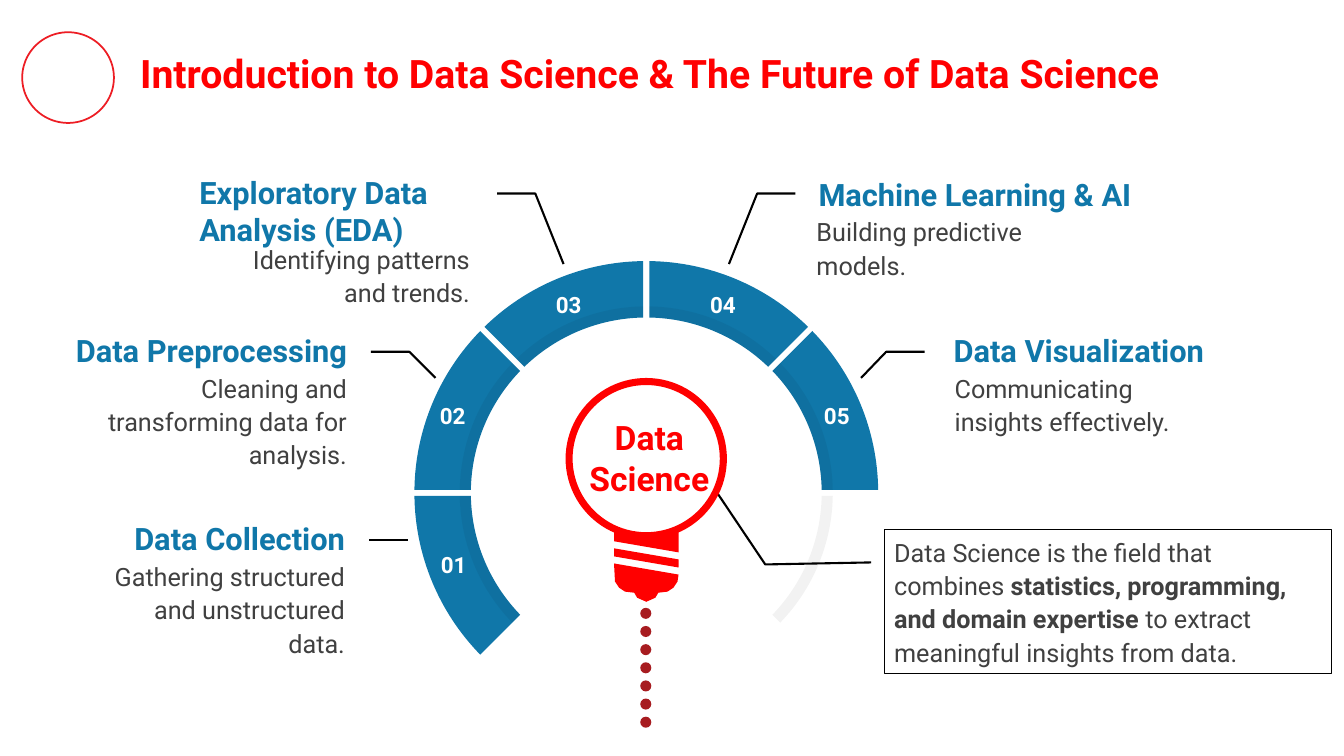
import math

from lxml import etree
from pptx import Presentation
from pptx.dml.color import RGBColor
from pptx.enum.shapes import MSO_CONNECTOR, MSO_SHAPE
from pptx.enum.text import MSO_ANCHOR, MSO_AUTO_SIZE, PP_ALIGN
from pptx.oxml.ns import qn
from pptx.util import Inches, Pt

LEFT, CENTER, RIGHT = PP_ALIGN.LEFT, PP_ALIGN.CENTER, PP_ALIGN.RIGHT
TOP = MSO_ANCHOR.TOP
NO_AUTOFIT = MSO_AUTO_SIZE.NONE
ELLIPSE, DONUT, RECTANGLE = MSO_SHAPE.OVAL, MSO_SHAPE.DONUT, MSO_SHAPE.RECTANGLE
STRAIGHT = MSO_CONNECTOR.STRAIGHT

FONT = "Roboto"
TITLE_RED = RGBColor(0xFF, 0x00, 0x01)
BULB_RED = RGBColor(0xFF, 0x00, 0x00)
RING_RED = RGBColor(0xED, 0x1D, 0x24)
DOT_RED = RGBColor(0xA7, 0x1C, 0x20)
BLUE = RGBColor(0x10, 0x77, 0xA9)
GRAY = RGBColor(0x40, 0x40, 0x40)
BLACK = RGBColor(0x00, 0x00, 0x00)
WHITE = RGBColor(0xFF, 0xFF, 0xFF)

ARC_CENTER = (6.41, 4.89)
OUTER_RADIUS, SHADE_RADIUS, INNER_RADIUS = 2.3, 1.85, 1.74
HALF_GAP = 0.03
SECTOR_DEGREES = 45
FIRST_ANGLE = 225
SECTOR_COUNT = 6

# number, number position, heading, heading box, heading alignment,
# description, description box, description alignment
STEPS = [
    ("01", (4.27, 5.42), "Data Collection", (0.57, 5.11, 2.95, 0.47), RIGHT,
     "Gathering structured and unstructured data.", (0.88, 5.49, 2.64, 1.1), RIGHT),
    ("02", (4.26, 3.94), "Data Preprocessing", (0.59, 3.24, 2.95, 0.47), RIGHT,
     "Cleaning and transforming data for analysis.", (0.9, 3.62, 2.64, 1.1), RIGHT),
    ("03", (5.41, 2.84), "Exploratory Data Analysis (EDA)", (1.88, 1.67, 2.95, 0.84), LEFT,
     "Identifying patterns and trends.", (2.12, 2.34, 2.64, 0.77), RIGHT),
    ("04", (6.94, 2.84), "Machine Learning & AI", (8.02, 1.69, 3.54, 0.47), LEFT,
     "Building predictive models.", (8, 2.07, 2.64, 0.77), LEFT),
    ("05", (8.07, 3.94), "Data Visualization", (9.36, 3.24, 2.95, 0.47), LEFT,
     "Communicating insights effectively.", (9.37, 3.62, 2.64, 0.77), LEFT),
]

LEADERS = [
    [(4.32, 3.75), (4.06, 3.49), (3.68, 3.49)],
    [(5.59, 2.62), (5.31, 1.92), (4.93, 1.92)],
    [(7.23, 2.62), (7.51, 1.92), (7.89, 1.92)],
    [(8.54, 3.75), (8.79, 3.49), (9.17, 3.49)],
    [(8.64, 5.58), (7.59, 5.6), (7.12, 4.9)],
]

BULB_BASE = [
    [(6.09, 5.28), (6.09, 5.37), (6.73, 5.48), (6.73, 5.28)],
    [(6.09, 5.44), (6.09, 5.52), (6.73, 5.63), (6.73, 5.55)],
    [(6.09, 5.59), (6.73, 5.7), (6.72, 5.77), (6.68, 5.83), (6.62, 5.87),
     (6.53, 5.88), (6.5, 5.93), (6.41, 5.97), (6.32, 5.93), (6.29, 5.88),
     (6.2, 5.87), (6.14, 5.83), (6.1, 5.77)],
]


def paint(shape, fill=None, line=None, width=1.5):
    shape.shadow.inherit = False
    if fill is None:
        shape.fill.background()
    else:
        shape.fill.solid()
        shape.fill.fore_color.rgb = fill
    if line is None:
        shape.line.fill.background()
    else:
        shape.line.color.rgb = line
        shape.line.width = Pt(width)


def add_outline(slide, contours, closed=True, **style):
    """Draw one freeform made of one or more contours."""
    first, *others = [[(Inches(x), Inches(y)) for x, y in points] for points in contours]
    builder = slide.shapes.build_freeform(*first[0])
    builder.add_line_segments(first[1:], close=closed)
    for points in others:
        builder.move_to(*points[0])
        builder.add_line_segments(points[1:], close=closed)
    shape = builder.convert_to_shape()
    paint(shape, **style)
    return shape


def add_preset(slide, kind, box, **style):
    shape = slide.shapes.add_shape(kind, *map(Inches, box))
    paint(shape, **style)
    return shape


def write(shape, runs, size, color, bold=False, align=LEFT, spacing=None,
          wrap=True, vertical_margin=0.05):
    """Fill the shape with one paragraph made of (text, bold) runs or a string."""
    frame = shape.text_frame
    frame.auto_size = NO_AUTOFIT
    frame.word_wrap = wrap
    frame.vertical_anchor = TOP
    frame.margin_left = frame.margin_right = Inches(0.1)
    frame.margin_top = frame.margin_bottom = Inches(vertical_margin)
    paragraph = frame.paragraphs[0]
    paragraph.alignment = align
    if spacing:
        paragraph.line_spacing = spacing
    font = paragraph.font
    font.name, font.size, font.bold = FONT, Pt(size), bold
    font.color.rgb = color
    if isinstance(runs, str):
        paragraph.add_run().text = runs
        return
    for text, run_bold in runs:
        run = paragraph.add_run()
        run.text = text
        run.font.bold = run_bold


def add_text(slide, box, text, size, color, **options):
    write(slide.shapes.add_textbox(*map(Inches, box)), text, size, color, **options)


def add_title(slide):
    title = slide.shapes.title
    title.left, title.top, title.width, title.height = map(Inches, (1.29, 0.39, 11.18, 0.67))
    write(title, "Introduction to Data Science & The Future of Data Science",
          28, TITLE_RED, bold=True, vertical_margin=0.1)


def arc_points(radius, start, end):
    """Bezier points of an arc, pulled in at both ends by half the gap."""
    inset = math.asin(HALF_GAP / radius)
    first, last = math.radians(start) - inset, math.radians(end) + inset
    reach = 4 / 3 * math.tan((last - first) / 4)

    def point(angle, tangent):
        return (ARC_CENTER[0] + radius * (math.cos(angle) - tangent * math.sin(angle)),
                ARC_CENTER[1] - radius * (math.sin(angle) + tangent * math.cos(angle)))

    return [point(first, 0), point(first, reach), point(last, -reach), point(last, 0)]


def merge_into_curve(lines):
    """Replace three line segments by one cubic curve through their points."""
    curve = etree.Element(qn("a:cubicBezTo"))
    lines[0].addprevious(curve)
    for line in lines:
        curve.append(line[0])
        line.getparent().remove(line)


def add_sector(slide, index, outer_radius, color):
    start = FIRST_ANGLE - index * SECTOR_DEGREES
    end = start - SECTOR_DEGREES
    points = arc_points(outer_radius, start, end) + arc_points(INNER_RADIUS, start, end)[::-1]
    sector = add_outline(slide, [points], fill=color)
    lines = list(sector._element.iter(qn("a:lnTo")))
    merge_into_curve(lines[:3])
    merge_into_curve(lines[4:7])
    return sector


def set_opacity(shape, percent):
    color = shape._element.spPr.find(qn("a:solidFill"))[0]
    etree.SubElement(color, qn("a:alpha")).set("val", str(percent * 1000))


def add_arc(slide):
    for index in range(len(STEPS)):
        add_sector(slide, index, OUTER_RADIUS, BLUE)
    for index in range(SECTOR_COUNT):
        set_opacity(add_sector(slide, index, SHADE_RADIUS, BLACK), 5)


def add_leaders(slide):
    for points in LEADERS:
        add_outline(slide, [points], closed=False, line=BLACK)
    connector = slide.shapes.add_connector(STRAIGHT, *map(Inches, (3.66, 5.36, 4.05, 5.36)))
    connector.line.color.rgb = BLACK
    connector.line.width = Pt(1.5)
    etree.SubElement(connector._element.spPr, qn("a:effectLst"))


def add_bulb(slide):
    for row in range(7):
        add_preset(slide, ELLIPSE, (6.35, 6.03 + 0.18 * row, 0.11, 0.11), fill=DOT_RED)
    add_outline(slide, BULB_BASE, fill=BULB_RED)
    glass = add_preset(slide, DONUT, (5.61, 3.75, 1.6, 1.6), fill=BULB_RED)
    glass.adjustments[0] = 0.07 / 1.6
    add_text(slide, (5.68, 4.09, 1.52, 0.91), "Data Science", 24, BULB_RED,
             bold=True, align=CENTER)


def add_definition(slide):
    box = add_preset(slide, RECTANGLE, (8.77, 5.25, 4.44, 1.43), line=BLACK, width=0.75)
    write(box, [("Data Science is the field that combines ", False),
                ("statistics, programming, and domain expertise ", True),
                ("to extract meaningful insights from data.", False)],
          18, GRAY, spacing=1.1)


def main():
    presentation = Presentation()
    presentation.slide_width, presentation.slide_height = Inches(13.33), Inches(7.5)
    slide = presentation.slides.add_slide(presentation.slide_layouts[5])
    add_title(slide)
    add_preset(slide, ELLIPSE, (0.22, 0.32, 0.91, 0.9), line=RING_RED, width=1.25)
    add_arc(slide)
    add_leaders(slide)
    for number, place, heading, heading_box, heading_align, detail, detail_box, align in STEPS:
        add_text(slide, (*place, 0.46, 0.37), number, 16, WHITE,
                 bold=True, align=CENTER, wrap=False)
        add_text(slide, heading_box, heading, 22, BLUE, bold=True, align=heading_align)
        add_text(slide, detail_box, detail, 18, GRAY, align=align, spacing=1.1)
    add_bulb(slide)
    add_definition(slide)
    presentation.save("out.pptx")


if __name__ == "__main__":
    main()
